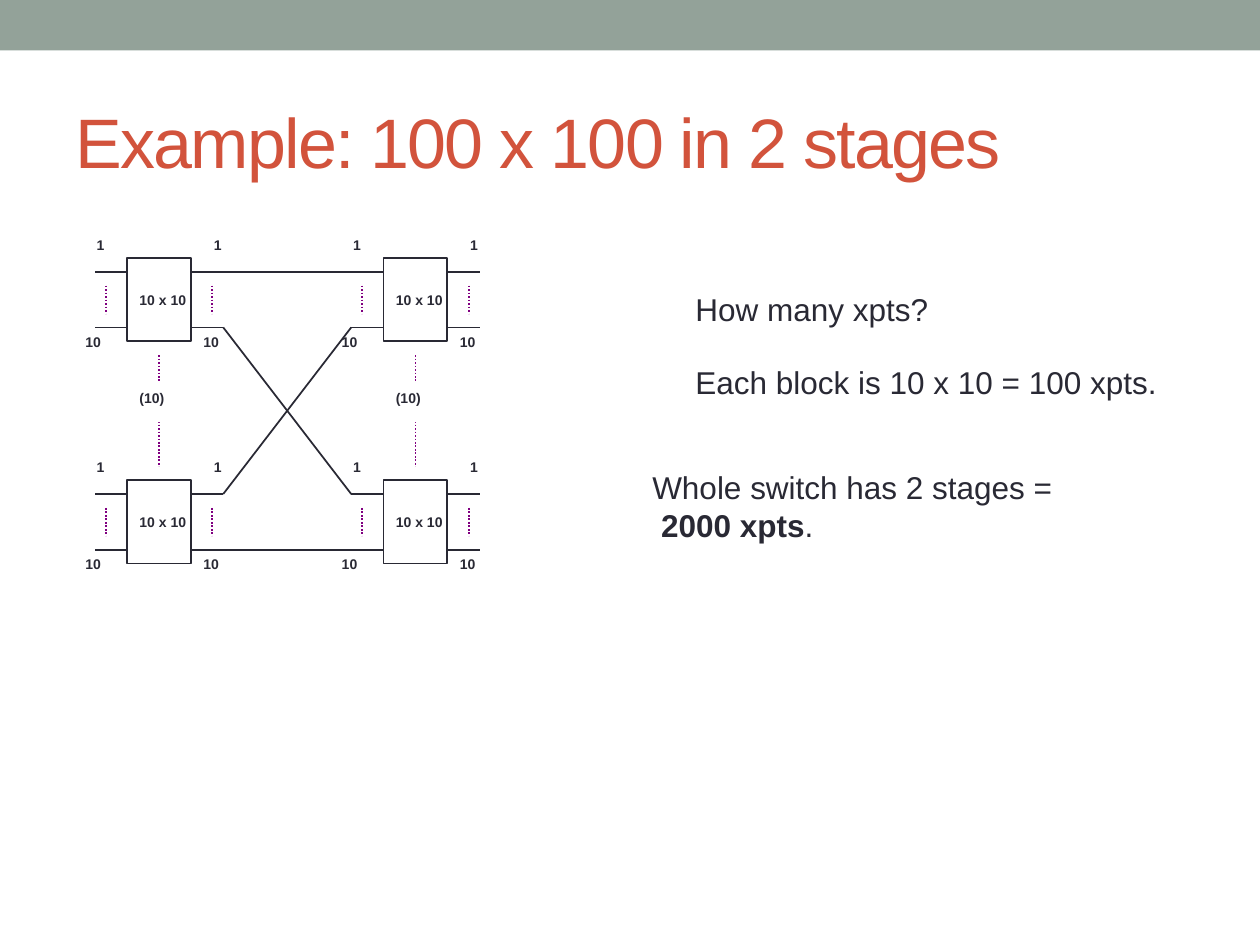
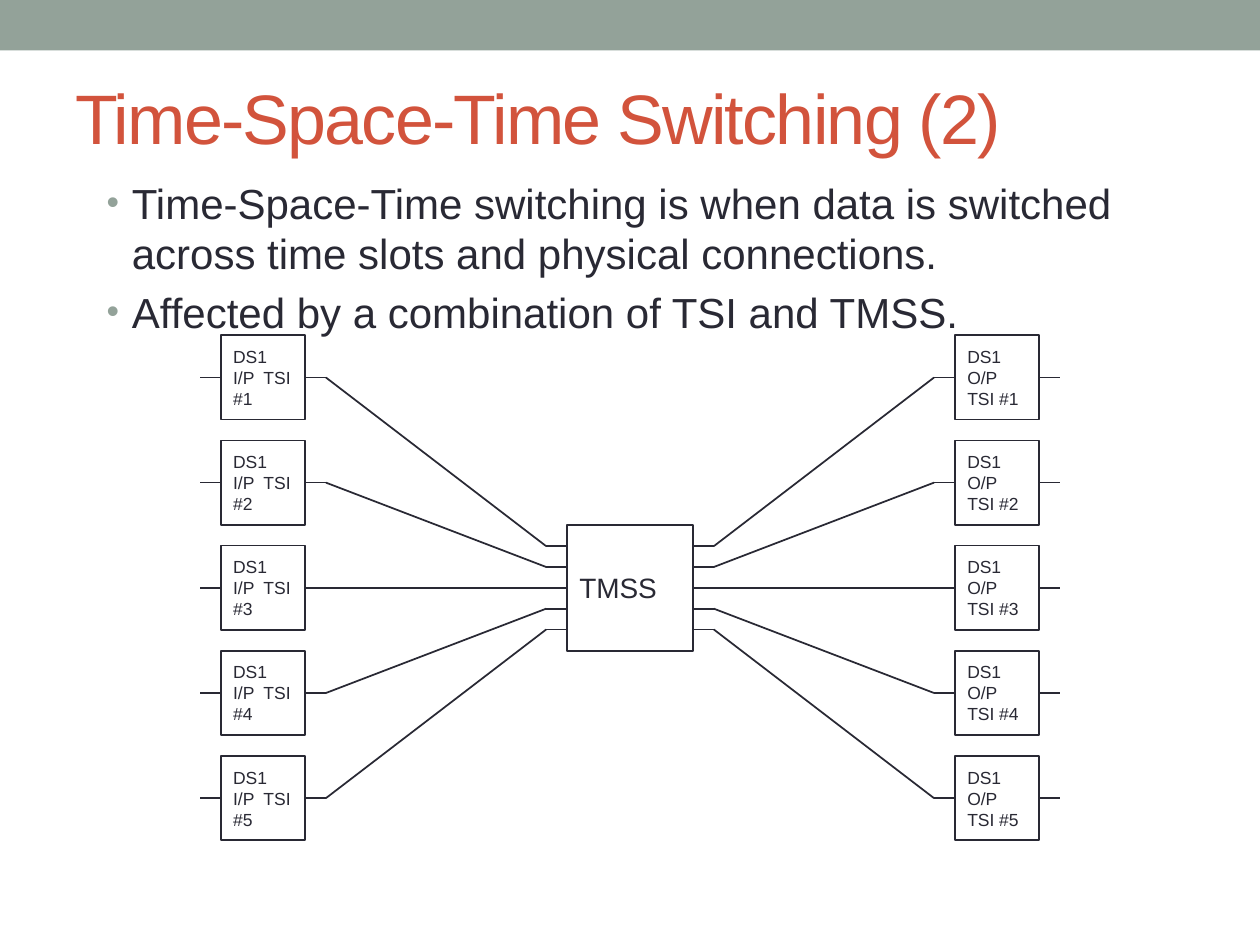
from dataclasses import dataclass
from itertools import product
from typing import NamedTuple

from lxml.etree import SubElement
from pptx import Presentation
from pptx.dml.color import RGBColor
from pptx.enum.dml import MSO_LINE
from pptx.enum.shapes import MSO_CONNECTOR, MSO_SHAPE
from pptx.enum.text import MSO_ANCHOR
from pptx.oxml.ns import qn
from pptx.util import Cm, Pt

SAGE = RGBColor(0x93, 0xA2, 0x99)
RUST = RGBColor(0xD2, 0x53, 0x3C)
INK = RGBColor(0x29, 0x29, 0x34)
PURPLE = RGBColor(0x80, 0x00, 0x80)
WHITE = RGBColor(0xFF, 0xFF, 0xFF)

SLIDE_WIDTH, SLIDE_HEIGHT = 25.4, 19.05
LEFT_SIDE, RIGHT_SIDE = 1, 3


class Area(NamedTuple):
    left: float
    top: float
    width: float
    height: float

    @property
    def right(self) -> float:
        return self.left + self.width

    @property
    def middle(self) -> float:
        return self.top + self.height / 2


class Point(NamedTuple):
    x: float
    y: float


class Span(NamedTuple):
    text: str
    bold: bool = False


class PortLabel(NamedTuple):
    text: str
    dx: float
    row: int
    width: float


@dataclass(frozen=True)
class TextStyle:
    size: int
    color: RGBColor = INK
    bold: bool = False
    anchor: MSO_ANCHOR = MSO_ANCHOR.TOP
    right_inset: float = 0.25
    tracking: int = 0
    bulleted: bool = False


TITLE = TextStyle(40, RUST, anchor=MSO_ANCHOR.MIDDLE, tracking=-100)
BODY = TextStyle(24, bulleted=True)
REMARK = TextStyle(18)
PORT = TextStyle(8, bold=True, right_inset=0)
CROSSBAR = TextStyle(8, bold=True, anchor=MSO_ANCHOR.MIDDLE, right_inset=0)
INTERCHANGER = TextStyle(10, anchor=MSO_ANCHOR.MIDDLE)
SPACE_SWITCH = TextStyle(16, anchor=MSO_ANCHOR.MIDDLE)

TICK = 0.28
LABEL_HEIGHT = 0.79
STAGE_LEFTS = [2.56, 7.73]
STAGE_TOPS = [5.2, 5.2 + 16 * TICK]
CROSSBAR_WIDTH = 1.29
CROSSBAR_STUB = 0.65
DOT_OFFSET = 0.43
PORT_ROWS = [1, 5]
PORT_LABELS = [
    PortLabel("1", -0.86, -2, 0.71),
    PortLabel("10", -1.09, 5, 0.89),
    PortLabel("1", 1.5, -2, 0.71),
    PortLabel("10", CROSSBAR_WIDTH, 5, 0.89),
]

TSI_SIZE = 1.7
TSI_TOP = 6.76
TSI_PITCH = 2.12
TSI_LEFT = 4.45
TSI_COUNT = 5
STUB = 0.42
TMSS_AREA = Area(11.43, 10.58, 2.54, 2.54)


def apply_format(target, values: dict) -> None:
    for name, value in values.items():
        setattr(target, name, value)


def add_bullet(paragraph) -> None:
    properties = paragraph._p.get_or_add_pPr()
    properties.set("marL", str(Cm(0.51)))
    properties.set("indent", str(-Cm(0.51)))
    bullet_color = SubElement(properties, qn("a:buClr"))
    SubElement(bullet_color, qn("a:srgbClr"), val=str(SAGE))
    SubElement(properties, qn("a:buSzPct"), val="85000")
    SubElement(properties, qn("a:buFont"), typeface="Arial")
    SubElement(properties, qn("a:buChar"), char="•")


def write(frame, paragraphs: list[list[Span]], style: TextStyle) -> None:
    apply_format(frame, {
        "word_wrap": True,
        "vertical_anchor": style.anchor,
        "margin_right": Cm(style.right_inset),
    })
    for index, spans in enumerate(paragraphs):
        paragraph = frame.add_paragraph() if index else frame.paragraphs[0]
        if style.bulleted:
            if index:
                paragraph.space_before = Pt(style.size * 0.2)
            add_bullet(paragraph)
        for span in spans:
            run = paragraph.add_run()
            run.text = span.text
            apply_format(run.font, {
                "name": "Arial",
                "size": Pt(style.size),
                "bold": style.bold or span.bold,
            })
            run.font.color.rgb = style.color
            if style.tracking:
                run._r.get_or_add_rPr().set("spc", str(style.tracking))


def add_text(slide, area: Area, paragraphs: list[list[Span]], style: TextStyle):
    box = slide.shapes.add_textbox(*map(Cm, area))
    write(box.text_frame, paragraphs, style)
    return box


def add_block(slide, area: Area, text: str, style: TextStyle):
    block = slide.shapes.add_shape(MSO_SHAPE.RECTANGLE, *map(Cm, area))
    block.shadow.inherit = False
    block.fill.solid()
    block.fill.fore_color.rgb = WHITE
    block.line.color.rgb = INK
    block.line.width = Pt(1)
    write(block.text_frame, [[Span(text)]], style)
    block.text_frame.paragraphs[0].alignment = 1
    return block


def add_wire(slide, start: Point, end: Point, color: RGBColor = INK, dash=None):
    wire = slide.shapes.add_connector(
        MSO_CONNECTOR.STRAIGHT, *map(Cm, (*start, *end)))
    wire.line.color.rgb = color
    apply_format(wire.line, {"width": Pt(1), "dash_style": dash})
    SubElement(wire._element.spPr, qn("a:effectLst"))
    return wire


def add_dots(slide, x: float, top: float, bottom: float) -> None:
    add_wire(slide, Point(x, top), Point(x, bottom), PURPLE, MSO_LINE.ROUND_DOT)


def add_titled_slide(deck, title: str, area: Area):
    slide = deck.slides.add_slide(deck.slide_layouts[6])
    band = slide.shapes.add_shape(
        MSO_SHAPE.RECTANGLE, 0, 0, Cm(SLIDE_WIDTH), Cm(1.02))
    band.shadow.inherit = False
    band.fill.solid()
    band.fill.fore_color.rgb = SAGE
    band.line.fill.background()
    add_text(slide, area, [[Span(title)]], TITLE)
    return slide


def add_crossbar(slide, left: float, top: float) -> None:
    area = Area(left, top, CROSSBAR_WIDTH, 6 * TICK)
    add_block(slide, area, "10 x 10", CROSSBAR)
    for row, (edge, stub) in product(
            PORT_ROWS, [(area.left, -CROSSBAR_STUB), (area.right, CROSSBAR_STUB)]):
        y = top + row * TICK
        add_wire(slide, Point(edge, y), Point(edge + stub, y))
    for x in (area.left - DOT_OFFSET, area.right + DOT_OFFSET):
        add_dots(slide, x, top + 2 * TICK, top + 4 * TICK)
    for label in PORT_LABELS:
        place = Area(left + label.dx, top + label.row * TICK,
                     label.width, LABEL_HEIGHT)
        add_text(slide, place, [[Span(label.text)]], PORT)


def build_two_stage_slide(deck) -> None:
    slide = add_titled_slide(
        deck, "Example: 100 x 100 in 2 stages", Area(1.27, 1.47, 22.86, 2.74))
    first_top = STAGE_TOPS[0]
    for left in STAGE_LEFTS:
        for top in STAGE_TOPS:
            add_crossbar(slide, left, top)
        add_dots(slide, left + CROSSBAR_WIDTH / 2,
                 first_top + 7 * TICK, first_top + 15 * TICK)
        count = add_text(
            slide, Area(left, first_top + 9 * TICK, 1.14, LABEL_HEIGHT),
            [[Span("(10)")]], PORT)
        count.fill.solid()
        count.fill.fore_color.rgb = WHITE

    link_start = STAGE_LEFTS[0] + CROSSBAR_WIDTH + CROSSBAR_STUB
    link_end = STAGE_LEFTS[1] - CROSSBAR_STUB
    ports = list(product(range(2), repeat=2))
    heights = {(box, port): STAGE_TOPS[box] + PORT_ROWS[port] * TICK
               for box, port in ports}
    for box, port in ports:
        add_wire(slide, Point(link_start, heights[box, port]),
                 Point(link_end, heights[port, box]))

    remarks = [
        (Area(13.77, 5.72, 6.35, 1.02), [[Span("How many xpts?")]]),
        (Area(13.77, 7.19, 10.36, 1.07),
         [[Span("Each block is 10 x 10 = 100 xpts.")]]),
        (Area(12.9, 9.32, 10.16, 1.8),
         [[Span("Whole switch has 2 stages =")],
          [Span(" "), Span("2000 xpts", True), Span(".")]]),
    ]
    for area, paragraphs in remarks:
        add_text(slide, area, paragraphs, REMARK)


def build_time_space_time_slide(deck) -> None:
    slide = add_titled_slide(
        deck, "Time-Space-Time Switching (2)", Area(1.27, 1.07, 22.86, 2.54))
    add_text(slide, Area(1.9, 3.45, 21.6, 3.39), [
        [Span("Time-Space-Time switching is when data is switched "
              "across time slots and physical connections.")],
        [Span("Affected by a combination of TSI and TMSS.")],
    ], BODY)

    tmss = add_block(slide, TMSS_AREA, "TMSS", SPACE_SWITCH)
    output_left = SLIDE_WIDTH - TSI_LEFT - TSI_SIZE
    sides = [
        ("I/P  TSI", TSI_LEFT, RIGHT_SIDE, LEFT_SIDE, 1, TMSS_AREA.left),
        ("O/P TSI", output_left, LEFT_SIDE, RIGHT_SIDE, -1, TMSS_AREA.right),
    ]
    for role, left, inner, outer, inward, tmss_edge in sides:
        for row in range(TSI_COUNT):
            area = Area(left, TSI_TOP + row * TSI_PITCH, TSI_SIZE, TSI_SIZE)
            block = add_block(slide, area, f"DS1 {role} #{row + 1}", INTERCHANGER)
            edges = {LEFT_SIDE: area.left, RIGHT_SIDE: area.right}
            bend = Point(edges[inner] + inward * STUB, area.middle)
            tail = Point(edges[outer] - inward * STUB, area.middle)
            for side, tip in ((inner, bend), (outer, tail)):
                stub = add_wire(slide, Point(edges[side], area.middle), tip)
                stub.begin_connect(block, side)

            offset = row - TSI_COUNT // 2
            port = Point(tmss_edge, TMSS_AREA.middle + offset * STUB)
            port_tip = Point(tmss_edge - inward * STUB, port.y)
            port_stub = add_wire(slide, port, port_tip)
            if offset == 0:
                port_stub.begin_connect(tmss, outer)
            add_wire(slide, bend, port_tip)


def main() -> None:
    deck = Presentation()
    apply_format(deck, {
        "slide_width": Cm(SLIDE_WIDTH),
        "slide_height": Cm(SLIDE_HEIGHT),
    })
    build_two_stage_slide(deck)
    build_time_space_time_slide(deck)
    deck.save("out.pptx")


if __name__ == "__main__":
    main()
